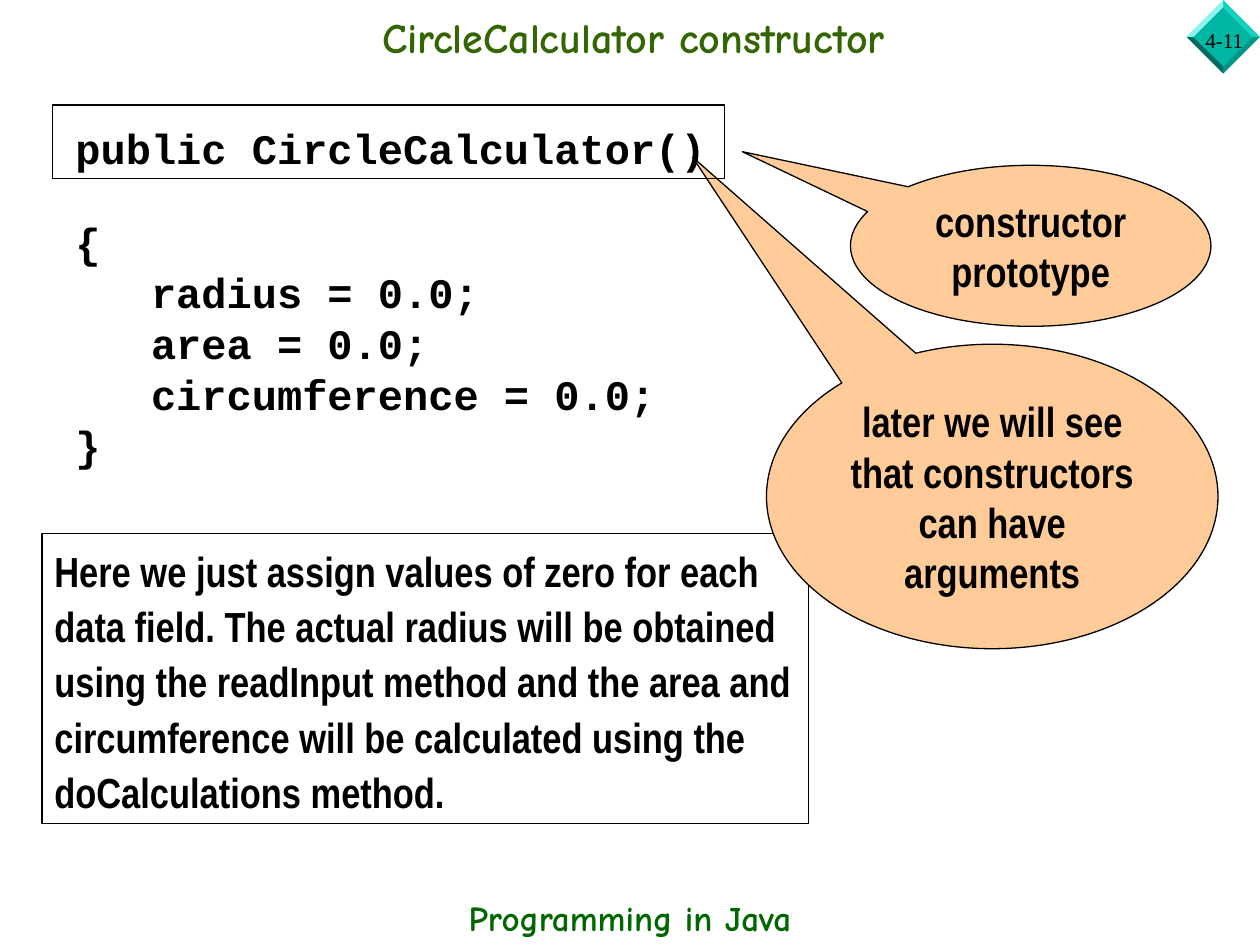
from pptx import Presentation
from pptx.dml.color import RGBColor
from pptx.enum.shapes import MSO_SHAPE as Shape
from pptx.enum.text import MSO_ANCHOR as Anchor, PP_ALIGN as Align
from pptx.util import Pt

BLACK = RGBColor(0x00, 0x00, 0x00)
TITLE_GREEN = RGBColor(0x33, 0x66, 0x00)
FOOTER_GREEN = RGBColor(0x00, 0x66, 0x00)
PEACH = RGBColor(0xFF, 0xCC, 0x99)
TEAL = RGBColor(0x00, 0xB7, 0xA5)
FACET_COLORS = [
    RGBColor(0x14, 0xD1, 0xBE),
    RGBColor(0x00, 0x96, 0x88),
    RGBColor(0x00, 0x6B, 0x61),
    RGBColor(0x8C, 0xF4, 0xEA),
]


def write(box, text, font, size=24, color=BLACK, bold=True, align=Align.LEFT,
          anchor=Anchor.TOP, before=0, spacing=1.0):
    frame = box.text_frame
    frame.word_wrap = True
    frame.vertical_anchor = anchor
    para = frame.add_paragraph() if frame.text else frame.paragraphs[0]
    para.text = text
    para.alignment = align
    para.space_before = Pt(before)
    para.line_spacing = spacing
    for span in para.runs:
        span.font.name = font
        span.font.size = Pt(size)
        span.font.bold = bold
        span.font.color.rgb = color


def add_outlined(kind, left, top, width, height, fill=None):
    shape = page.shapes.add_shape(kind, Pt(left), Pt(top), Pt(width), Pt(height))
    shape.shadow.inherit = False
    if fill is None:
        shape.fill.background()
    else:
        shape.fill.solid()
        shape.fill.fore_color.rgb = fill
    shape.line.color.rgb = BLACK
    shape.line.width = Pt(0.75)
    return shape


deck = Presentation()
deck.slide_width = Pt(720)
deck.slide_height = Pt(540)
page = deck.slides.add_slide(deck.slide_layouts[6])

center_x, center_y = 699, 21
directions = [(0, -1), (1, 0), (0, 1), (-1, 0)]
inner, outer = (
    [(center_x + radius * x, center_y + radius * y) for x, y in directions]
    for radius in (17, 21)
)
gem_parts = [(inner, TEAL)]
for side, color in enumerate(FACET_COLORS):
    following = (side + 1) % 4
    corners = [inner[side], outer[side], outer[following], inner[following]]
    gem_parts.append((corners, color))
for corners, color in gem_parts:
    builder = page.shapes.build_freeform(*corners[0], scale=Pt(1))
    builder.add_line_segments(corners[1:], close=True)
    facet = builder.convert_to_shape()
    facet.shadow.inherit = False
    facet.fill.solid()
    facet.fill.fore_color.rgb = color
    facet.line.fill.background()

number = page.shapes.add_textbox(Pt(681.8), Pt(12), Pt(38.2), Pt(21.6))
write(number, "4-11", "Times New Roman", size=12, bold=False)

footer = page.shapes.add_textbox(Pt(0), Pt(509), Pt(720), Pt(31))
write(footer, "Programming in Java", "Comic Neue", size=20,
      color=FOOTER_GREEN, align=Align.CENTER)

title = page.shapes.add_textbox(Pt(56), Pt(3), Pt(612), Pt(36))
write(title, "CircleCalculator constructor", "Comic Neue",
      color=TITLE_GREEN, align=Align.CENTER, anchor=Anchor.MIDDLE)

code = page.shapes.add_textbox(Pt(36), Pt(72), Pt(660), Pt(210))
code_lines = [
    ("public CircleCalculator()", 0),
    ("{", 30.5),
    ("   radius = 0.0;", 6),
    ("   area = 0.0;", 6),
    ("   circumference = 0.0;", 6),
    ("}", 6),
]
for line, before in code_lines:
    write(code, line, "Courier New", before=before, spacing=0.8)

note = add_outlined(Shape.RECTANGLE, 24, 305, 438, 165.5)
write(note, "Here we just assign values of zero for each\n"
      "data field. The actual radius will be obtained\n"
      "using the readInput method and the area and\n"
      "circumference will be calculated using the\n"
      "doCalculations method.",
      "Arial Narrow", anchor=Anchor.MIDDLE, spacing=1.1)

callouts = [
    ("later we will see\nthat constructors\ncan have arguments",
     (438, 196.75, 258, 174), (-0.664, -1.115)),
    ("constructor\nprototype", (486, 94.5, 206, 92), (-0.8, -0.585)),
]
for text, bounds, tip in callouts:
    callout = add_outlined(Shape.OVAL_CALLOUT, *bounds, fill=PEACH)
    callout.adjustments[0], callout.adjustments[1] = tip
    write(callout, text, "Arial Narrow", align=Align.CENTER, anchor=Anchor.MIDDLE)

add_outlined(Shape.RECTANGLE, 30, 60, 384, 42)

deck.save("out.pptx")
